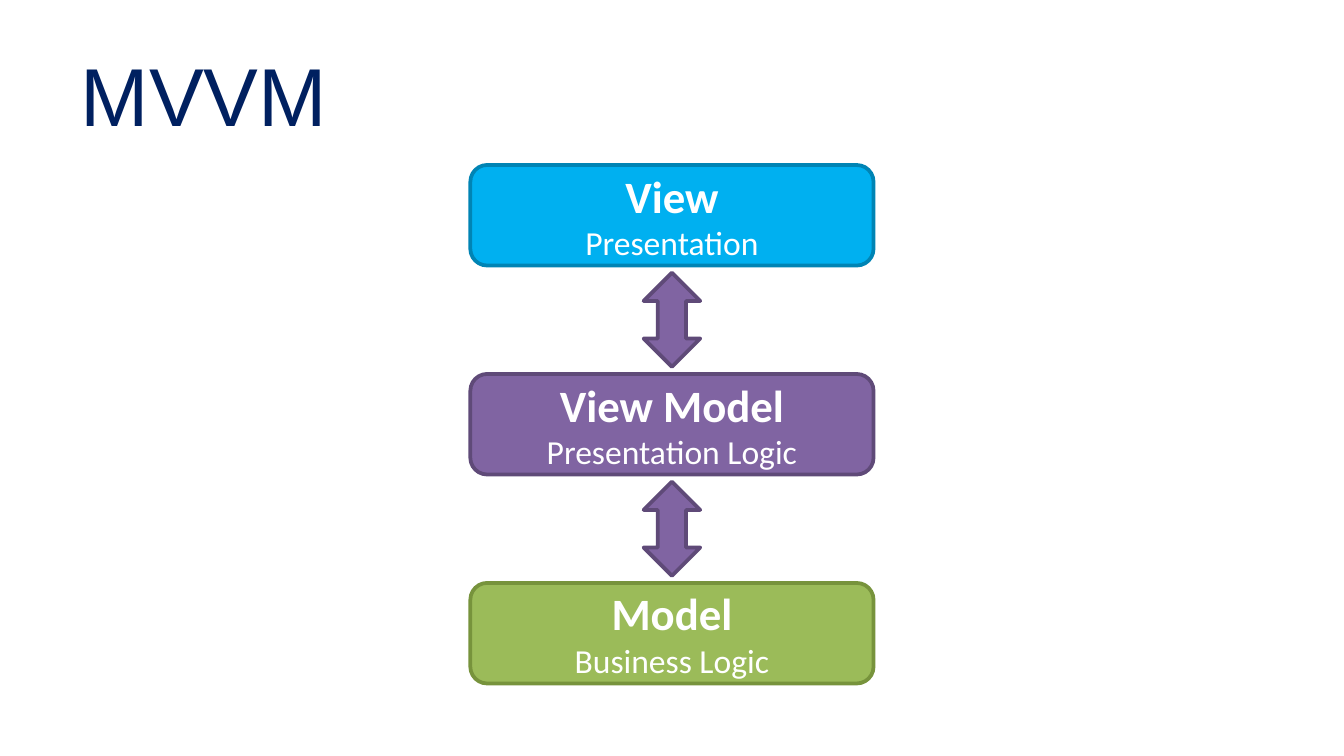
"""Build the MVVM slide: three stacked layers joined by two-way arrows."""
from dataclasses import dataclass

from pptx import Presentation
from pptx.dml.color import RGBColor
from pptx.enum.shapes import MSO_SHAPE
from pptx.enum.text import MSO_ANCHOR, MSO_AUTO_SIZE, PP_ALIGN
from pptx.util import Cm, Pt

TITLE = "MVVM"
LAYERS = [
    ("View", "Presentation", "sky"),
    ("View Model", "Presentation Logic", "plum"),
    ("Model", "Business Logic", "leaf"),
]


@dataclass(frozen=True)
class Theme:
    sky: tuple = ("00B0F0", "0084B4")
    plum: tuple = ("8064A2", "5F4A78")
    leaf: tuple = ("9BBB59", "77933C")
    title: tuple = ("Arial", 44, False, "002060")
    name: tuple = ("Calibri", 24, True, "FFFFFF")
    role: tuple = ("Calibri", 18, False, "FFFFFF")
    edge: float = 2


THEME = Theme()
WIDE, HIGH = 25.4, 14.29
BOX_W, BOX_H = 7.62, 1.9
ARROW_W, ARROW_H = 1.07, 1.78
TOP, STEP = 3.12, 3.95


def write(para, text, style, align):
    face, size, bold, color = style
    para.alignment = align
    run = para.add_run()
    run.text = text
    values = {"name": face, "size": Pt(size), "bold": bold}
    for key, value in values.items():
        setattr(run.font, key, value)
    run.font.color.rgb = RGBColor.from_string(color)


def draw(slide, kind, top, width, height, colors):
    left = (WIDE - width) / 2
    shape = slide.shapes.add_shape(kind, Cm(left), Cm(top), Cm(width), Cm(height))
    fill, line = map(RGBColor.from_string, colors)
    shape.shadow.inherit = False
    shape.fill.solid()
    shape.fill.fore_color.rgb = fill
    shape.line.color.rgb = line
    shape.line.width = Pt(THEME.edge)
    return shape


def head(slide):
    title = slide.shapes.title
    place = {"left": 1.27, "top": 0.58, "width": 22.86, "height": 2.38}
    for key, value in place.items():
        setattr(title, key, Cm(value))
    frame = title.text_frame
    frame.auto_size = MSO_AUTO_SIZE.NONE
    frame.vertical_anchor = MSO_ANCHOR.MIDDLE
    write(frame.paragraphs[0], TITLE, THEME.title, PP_ALIGN.LEFT)


def stack(slide):
    for row, (name, role, tone) in enumerate(LAYERS):
        box = draw(slide, MSO_SHAPE.ROUNDED_RECTANGLE, TOP + row * STEP,
                   BOX_W, BOX_H, getattr(THEME, tone))
        frame = box.text_frame
        frame.word_wrap = True
        frame.vertical_anchor = MSO_ANCHOR.MIDDLE
        write(frame.paragraphs[0], name, THEME.name, PP_ALIGN.CENTER)
        write(frame.add_paragraph(), role, THEME.role, PP_ALIGN.CENTER)


def link(slide):
    inset = (STEP - BOX_H - ARROW_H) / 2
    for row in range(len(LAYERS) - 1):
        top = TOP + row * STEP + BOX_H + inset
        draw(slide, MSO_SHAPE.UP_DOWN_ARROW, top, ARROW_W, ARROW_H, THEME.plum)


def main():
    deck = Presentation()
    deck.slide_width, deck.slide_height = Cm(WIDE), Cm(HIGH)
    slide = deck.slides.add_slide(deck.slide_layouts.get_by_name("Title Only"))
    head(slide)
    stack(slide)
    link(slide)
    deck.save("out.pptx")


if __name__ == "__main__":
    main()
